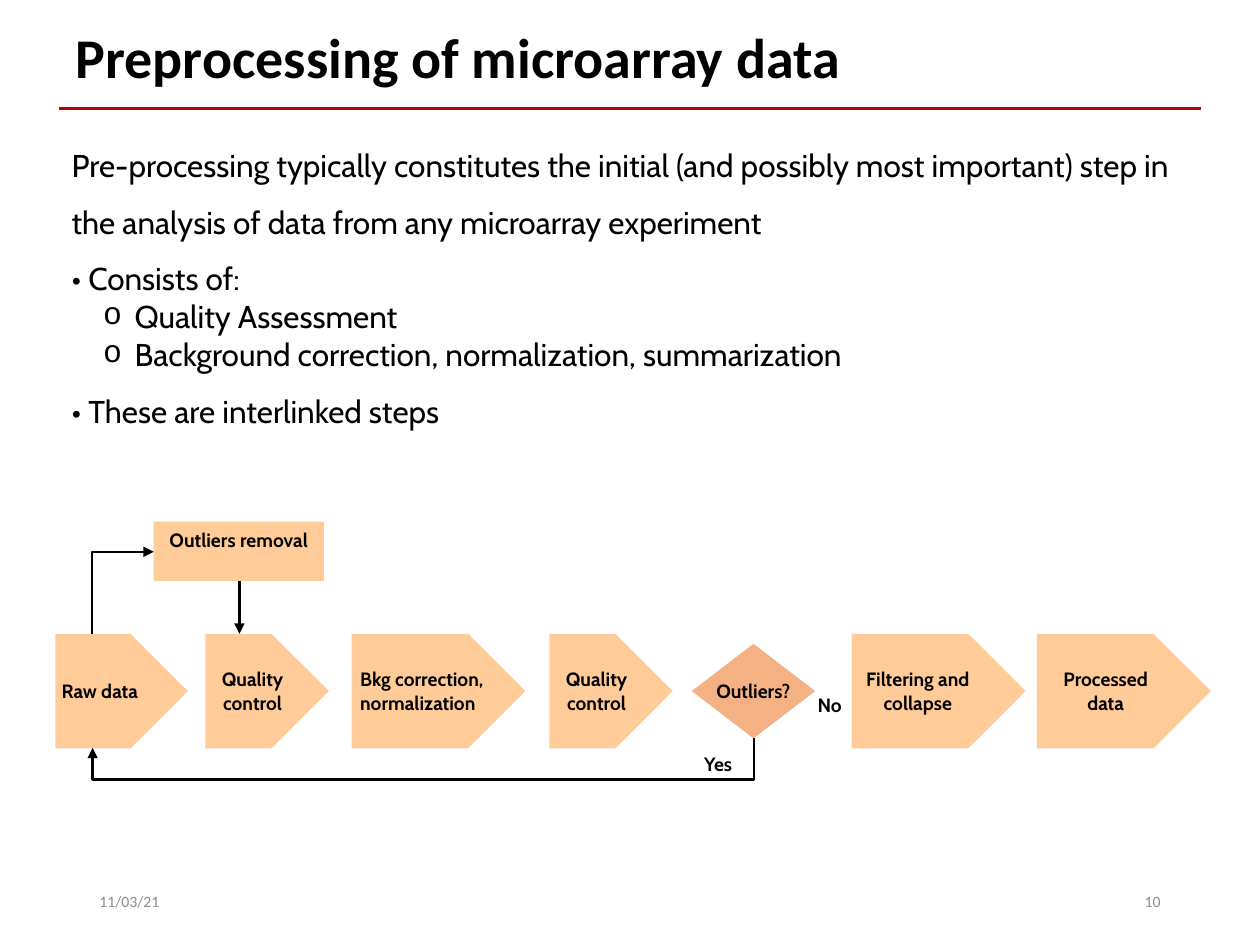
from pptx import Presentation
from pptx.dml.color import RGBColor
from pptx.enum.shapes import MSO_CONNECTOR as Conn, MSO_SHAPE as Shape
from pptx.enum.text import MSO_ANCHOR as Anchor, PP_ALIGN as Align
from pptx.oxml.ns import qn
from pptx.util import Inches, Pt
from lxml.etree import SubElement

# Content
TITLE = "Preprocessing of microarray data"
BODY = [  # text, is sub-item
    ("Pre-processing typically constitutes the initial (and possibly most "
     "important) step in the analysis of data from any microarray experiment", False),
    ("• Consists of:", False),
    ("Quality Assessment", True),
    ("Background correction, normalization, summarization", True),
    ("• These are interlinked steps", False),
]
STEPS = [  # left, width, label, label left, label width, alignment
    (0.44, 1.05, "Raw data", 0.39, 1.15, Align.LEFT),
    (1.63, 0.98, "Quality control", 1.43, 1.15, Align.CENTER),
    (2.79, 1.38, "Bkg correction, normalization", 2.76, 1.49, Align.LEFT),
    (4.36, 0.98, "Quality control", 4.16, 1.15, Align.CENTER),
    (6.76, 1.38, "Filtering and collapse", 6.66, 1.25, Align.CENTER),
    (8.23, 1.38, "Processed data", 8.2, 1.15, Align.CENTER),
]
TAGS = [("Yes", 5.49, 5.92, 0.5), ("No", 6.39, 5.45, 0.48)]
FOOT = [("11/03/21", 0.69, Align.LEFT), ("10", 7.06, Align.RIGHT)]
BLACK, PEACH, CORAL, RED, GRAY = "000000", "FFCC99", "F4B183", "C00000", "8C8C8C"
ROW_TOP, ROW_H = 5.03, 0.91

deck = Presentation()
deck.slide_width, deck.slide_height = Inches(10), Inches(7.5)
slide = deck.slides.add_slide(deck.slide_layouts[5])
shapes = slide.shapes


def rgb(code):
    return RGBColor.from_string(code)


def put(para, text, size, face, color=BLACK, bold=False, align=Align.LEFT):
    para.alignment = align
    run = para.add_run()
    run.text = text
    font = run.font
    font.size, font.name, font.bold = Pt(size), face, bold
    font.color.rgb = rgb(color)


def box(x, y, w, h, anchor=Anchor.TOP):
    frame = shapes.add_textbox(*map(Inches, (x, y, w, h))).text_frame
    frame.word_wrap, frame.vertical_anchor = True, anchor
    return frame


def label(text, x, y, w, h, align=Align.LEFT):
    put(box(x, y, w, h).paragraphs[0], text, 11, "Cabin", bold=True, align=align)


def block(kind, x, y, w, h, fill):
    shape = shapes.add_shape(kind, *map(Inches, (x, y, w, h)))
    shape.shadow.inherit = False
    shape.fill.solid()
    shape.fill.fore_color.rgb = rgb(fill)
    shape.line.fill.background()
    return shape


def link(x1, y1, x2, y2, color=BLACK, width=1.5, head=True, kind=Conn.STRAIGHT):
    line = shapes.add_connector(kind, *map(Inches, (x1, y1, x2, y2)))
    line.line.color.rgb, line.line.width = rgb(color), Pt(width)
    props = line._element.spPr
    if head:
        SubElement(props.find(qn("a:ln")), qn("a:tailEnd"), type="triangle")
    SubElement(props, qn("a:effectLst"))
    return props


def elbow(x, y, w, h, preset, flip=False, bend=None):
    """Bent arrow turned a quarter clockwise; the frame is the unturned one."""
    props = link(x, y, x + w, y + h, kind=Conn.ELBOW)
    frame, geom = props.find(qn("a:xfrm")), props.find(qn("a:prstGeom"))
    frame.set("rot", str(90 * 60000))
    if flip:
        frame.set("flipH", "1")
        frame.set("flipV", "1")
    geom.set("prst", preset)
    if bend is not None:
        SubElement(geom.find(qn("a:avLst")), qn("a:gd"), name="adj1",
                   fmla=f"val {round(bend * 100000)}")


# Title and rule
title = shapes.title
title.left, title.top, title.width, title.height = map(Inches, (0.5, 0.17, 9, 0.62))
title.text_frame.vertical_anchor = Anchor.MIDDLE
head = title.text_frame.paragraphs[0]
head.line_spacing = 0.9
put(head, TITLE, 32, "Calibri", bold=True)
link(0.47, 0.86, 9.53, 0.86, RED, 2, head=False)

# Body text
frame = box(0.47, 0.96, 9.06, 2.52)
for i, (text, sub) in enumerate(BODY):
    para = frame.add_paragraph() if i else frame.paragraphs[0]
    if sub:
        para.level = 1
        props = para._p.get_or_add_pPr()
        props.set("marL", str(Inches(0.5)))
        props.set("indent", str(-Inches(0.25)))
        SubElement(props, qn("a:buFont"), typeface="Courier New")
        SubElement(props, qn("a:buChar"), char="o")
    else:
        para.line_spacing = 1.5
    put(para, text, 18, "Cabin")

# Process row
for x, w, text, left, wide, align in STEPS:
    block(Shape.PENTAGON, x, ROW_TOP, w, ROW_H, PEACH)
    high = 0.29 if text == "Raw data" else 0.47
    label(text, left, ROW_TOP + (ROW_H - high) / 2, wide, high, align)

# Decision and outlier loop
block(Shape.DIAMOND, 5.49, 5.11, 0.98, 0.75, CORAL)
label("Outliers?", 5.51, 5.34, 0.94, 0.29, Align.CENTER)
clean = block(Shape.RECTANGLE, 1.22, 4.14, 1.35, 0.47, PEACH).text_frame
clean.word_wrap, clean.vertical_anchor = True, Anchor.TOP
put(clean.paragraphs[0], "Outliers removal", 11, "Cabin", bold=True, align=Align.CENTER)
elbow(3.32, 3.27, 0.08, 5.25, "bentConnector3", bend=4.18)
elbow(0.65, 4.46, 0.65, 0.49, "bentConnector2", flip=True)
link(1.9, 4.61, 1.9, ROW_TOP)
for text, x, y, w in TAGS:
    label(text, x, y, w, 0.29)

# Footer
for text, x, align in FOOT:
    foot = box(x, 6.95, 2.25, 0.4, Anchor.MIDDLE)
    put(foot.paragraphs[0], text, 9, "Calibri", GRAY, align=align)

deck.save("out.pptx")
